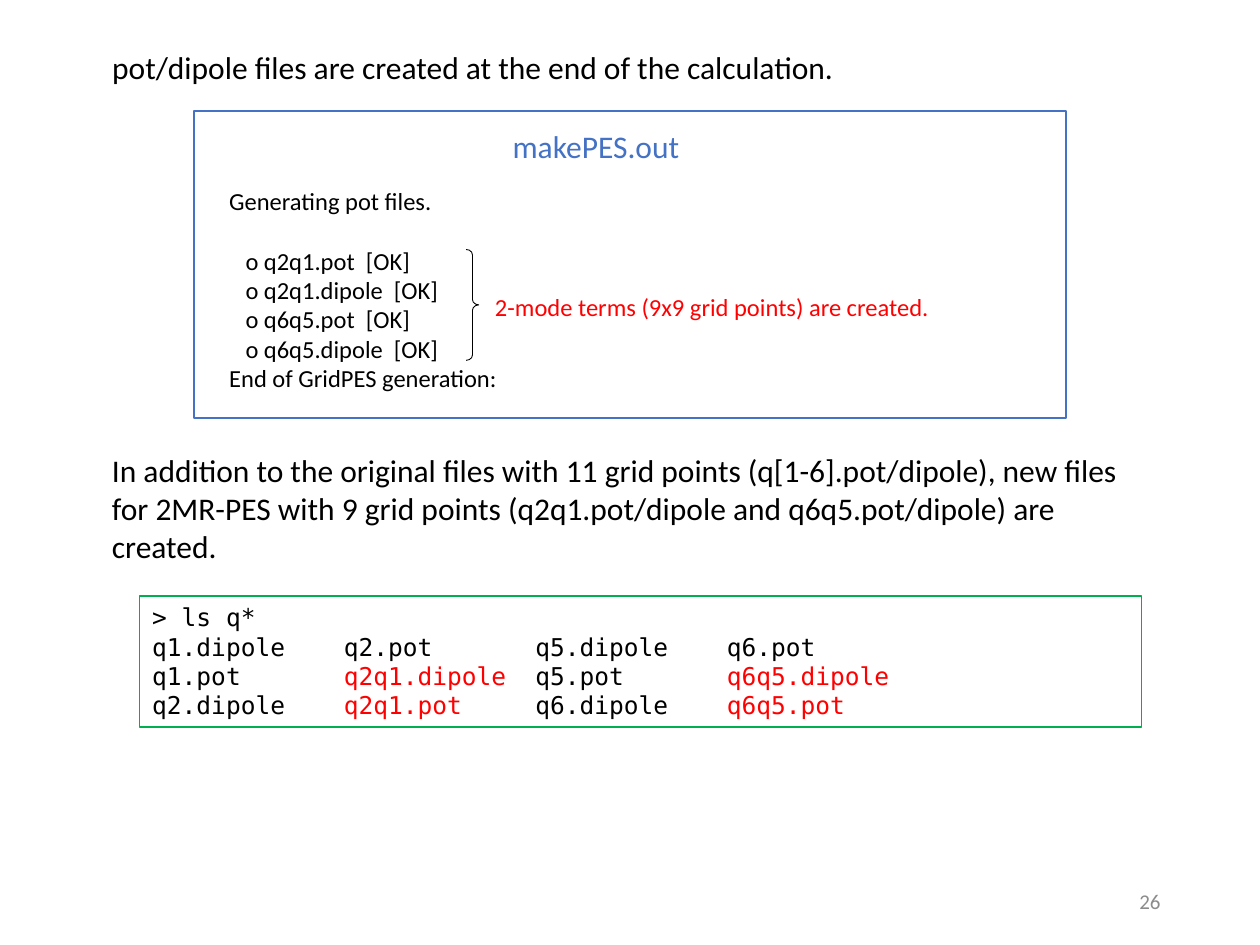
from dataclasses import dataclass

import pptx
import pptx.util
import pptx.dml.color
import pptx.enum.shapes
import pptx.enum.text
import pptx.oxml
import pptx.oxml.ns
from pptx.util import Inches

COLORS = {"black": "000000", "blue": "4472C4", "green": "00B050",
          "red": "FF0000", "gray": "8C8C8C"}
BODY_FONT, CODE_FONT = "Calibri", "DejaVu Sans Mono"
SHAPES = pptx.enum.shapes.MSO_SHAPE
ALIGN = pptx.enum.text.PP_ALIGN
ANCHOR = pptx.enum.text.MSO_ANCHOR
COLUMN_WIDTH = 1.52  # thirteen monospaced characters


@dataclass
class Label:
    text: str
    at: tuple[float, float, float, float]
    size: int
    color: str = "black"
    wrap: bool = False
    align: ALIGN = ALIGN.LEFT
    anchor: ANCHOR = ANCHOR.TOP


@dataclass
class Outline:
    kind: SHAPES
    at: tuple[float, float, float, float]
    color: str
    weight: float


def rgb(name: str) -> pptx.dml.color.RGBColor:
    return pptx.dml.color.RGBColor.from_string(COLORS[name])


def style_span(span, size: int, color: str, font: str = BODY_FONT) -> None:
    span.font.name = font
    span.font.size = pptx.util.Pt(size)
    span.font.color.rgb = rgb(color)


def fill_box(box, label: Label) -> None:
    frame = box.text_frame
    frame.text = label.text
    frame.word_wrap = label.wrap
    frame.auto_size = pptx.enum.text.MSO_AUTO_SIZE.NONE
    frame.vertical_anchor = label.anchor
    for para in frame.paragraphs:
        para.alignment = label.align
        para.line_spacing = 1.0
        for span in para.runs:
            style_span(span, label.size, label.color)


def add_label(page, label: Label):
    box = page.shapes.add_textbox(*map(Inches, label.at))
    fill_box(box, label)
    return box


def add_outline(page, outline: Outline):
    shape = page.shapes.add_shape(outline.kind, *map(Inches, outline.at))
    shape.shadow.inherit = False
    shape.fill.background()
    shape.line.color.rgb = rgb(outline.color)
    shape.line.width = pptx.util.Pt(outline.weight)
    return shape


def add_tab_stops(para, count: int) -> None:
    stops = pptx.oxml.parse_xml(f"<a:tabLst {pptx.oxml.ns.nsdecls('a')}/>")
    for column in range(1, count + 1):
        stop = stops.makeelement(pptx.oxml.ns.qn("a:tab"), {
            "pos": str(Inches(COLUMN_WIDTH * column)), "algn": "l"})
        stops.append(stop)
    para._p.get_or_add_pPr().append(stops)


def fill_listing(box, command: str, rows: list[list[str]], new: set[str]) -> None:
    frame = box.text_frame
    frame.word_wrap = True
    frame.vertical_anchor = ANCHOR.TOP
    frame.text = "\n".join([command] + [""] * len(rows))
    frame.paragraphs[0].alignment = ALIGN.LEFT
    style_span(frame.paragraphs[0].runs[0], 14, "black", CODE_FONT)
    for para, names in zip(frame.paragraphs[1:], rows):
        para.alignment = ALIGN.LEFT
        add_tab_stops(para, len(names) - 1)
        for column, name in enumerate(names):
            span = para.add_run()
            span.text = "\t" + name if column else name
            style_span(span, 14, "red" if name in new else "black", CODE_FONT)


def main() -> None:
    deck = pptx.Presentation()
    deck.slide_width, deck.slide_height = Inches(10), Inches(7.5)
    page = deck.slides.add_slide(deck.slide_layouts[5])

    # Title
    title = page.shapes.title
    heading = Label("pot/dipole files are created at the end of the calculation.",
                    (0.79, 0.33, 8.27, 0.4), 18, wrap=True)
    title.left, title.top, title.width, title.height = map(Inches, heading.at)
    fill_box(title, heading)

    # Output file panel
    add_outline(page, Outline(SHAPES.RECTANGLE, (1.54, 0.88, 6.92, 2.44), "blue", 1))
    add_label(page, Label("makePES.out", (3.97, 0.96, 1.54, 0.4), 18, "blue"))
    files = ["q2q1.pot", "q2q1.dipole", "q6q5.pot", "q6q5.dipole"]
    log_lines = ["Generating pot files.", *(f"o {name}  [OK]" for name in files),
                 "End of GridPES generation:"]
    log = add_label(page, Label("\n".join(log_lines), (1.72, 1.43, 2.35, 1.75), 14))
    entries = log.text_frame.paragraphs[1:-1]
    entries[0].space_before = pptx.util.Pt(17)
    for para in entries:
        para._p.get_or_add_pPr().set("marL", str(Inches(0.13)))

    # Brace and its remark
    brace = add_outline(page, Outline(SHAPES.RIGHT_BRACE, (3.7, 1.98, 0.1, 0.88),
                                      "black", 0.5))
    brace.adjustments[0], brace.adjustments[1] = 0.425, 0.5
    add_label(page, Label("2-mode terms (9x9 grid points) are created.",
                          (3.83, 2.27, 3.68, 0.34), 14, "red"))

    # Explanation
    add_label(page, Label(
        "In addition to the original files with 11 grid points (q[1-6].pot/dipole), "
        "new files for 2MR-PES with 9 grid points (q2q1.pot/dipole and "
        "q6q5.pot/dipole) are created.", (0.79, 3.53, 8.27, 1.01), 18, wrap=True))

    # Terminal listing, new files in red
    terminal = add_outline(page, Outline(SHAPES.RECTANGLE, (1.11, 4.73, 7.95, 1.04),
                                         "green", 0.75))
    fill_listing(terminal, "> ls q*", [
        ["q1.dipole", "q2.pot", "q5.dipole", "q6.pot"],
        ["q1.pot", "q2q1.dipole", "q5.pot", "q6q5.dipole"],
        ["q2.dipole", "q2q1.pot", "q6.dipole", "q6q5.pot"],
    ], set(files))

    # Page number
    add_label(page, Label("26", (7.06, 6.95, 2.25, 0.4), 12, "gray", True,
                          ALIGN.RIGHT, ANCHOR.MIDDLE))

    deck.save("out.pptx")


if __name__ == "__main__":
    main()
